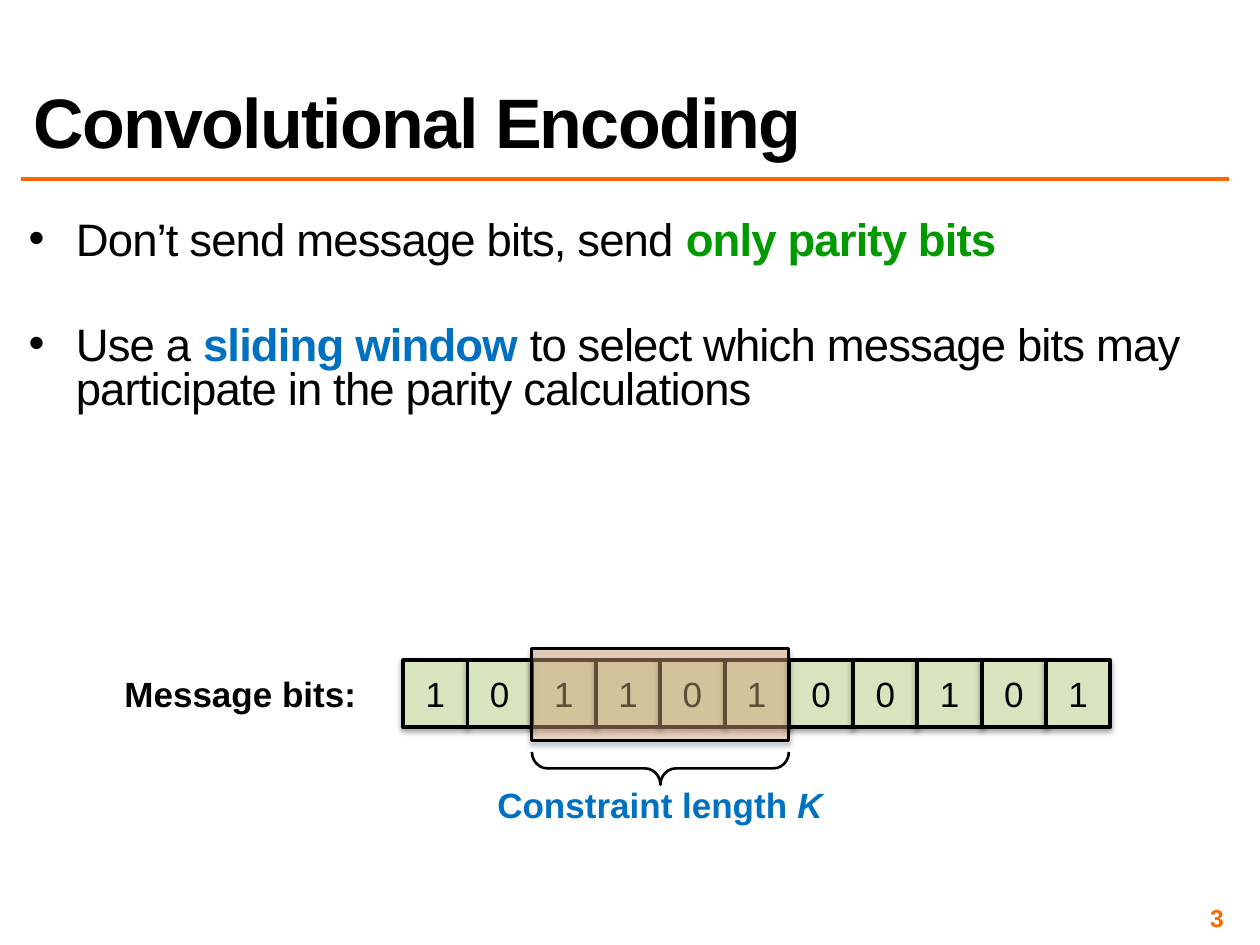
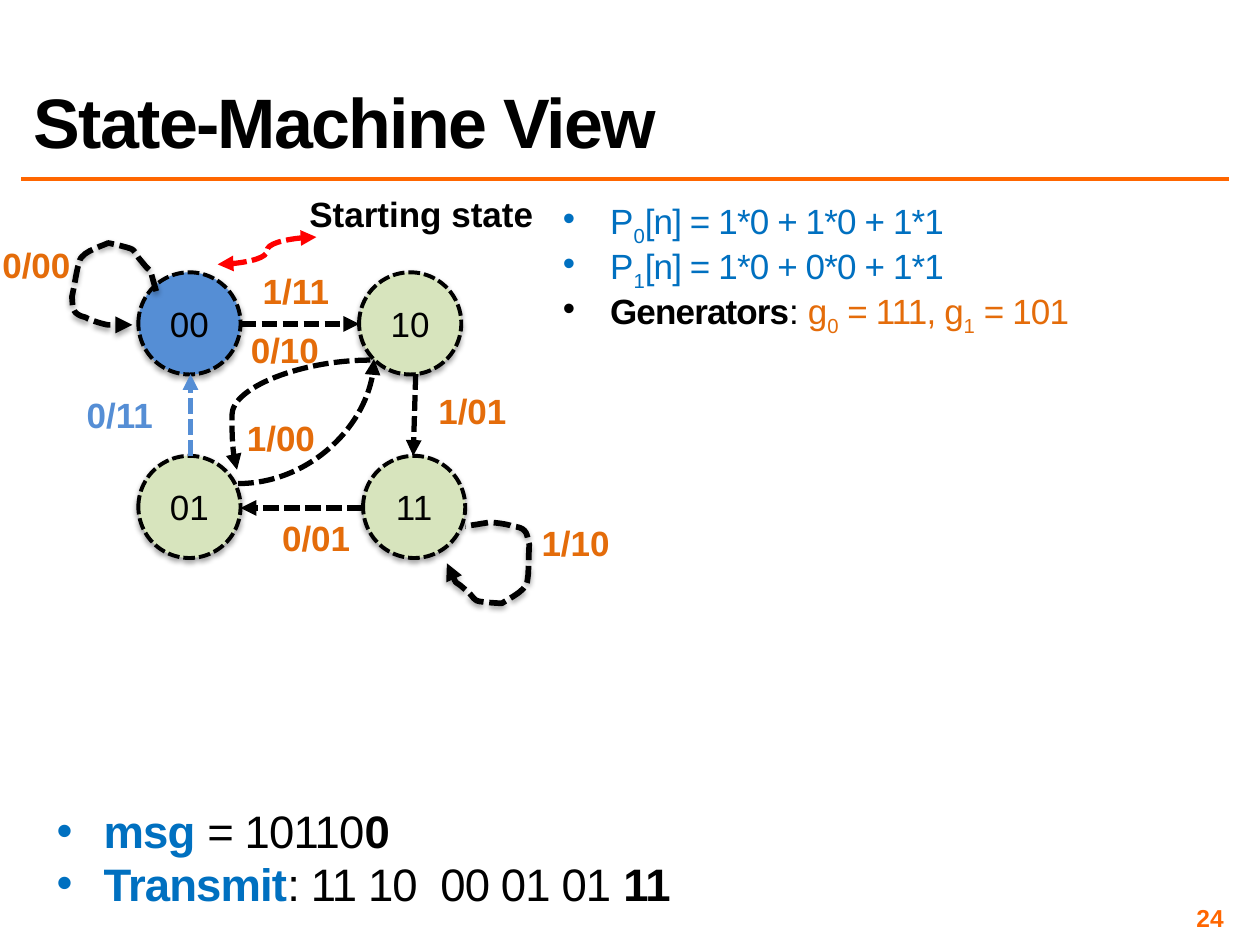
from typing import NamedTuple, Optional

import pptx
import pptx.dml.color
import pptx.enum.dml
import pptx.enum.shapes
import pptx.enum.text
import pptx.oxml
import pptx.oxml.ns
import pptx.util

Cm = pptx.util.Cm
Pt = pptx.util.Pt
RGBColor = pptx.dml.color.RGBColor
SHAPES = pptx.enum.shapes.MSO_SHAPE
CONNECTORS = pptx.enum.shapes.MSO_CONNECTOR
ALIGN = pptx.enum.text.PP_ALIGN
ANCHOR = pptx.enum.text.MSO_ANCHOR
AUTO_SIZE = pptx.enum.text.MSO_AUTO_SIZE
DASHED = pptx.enum.dml.MSO_LINE.SQUARE_DOT
qn = pptx.oxml.ns.qn

BLACK = RGBColor(0x00, 0x00, 0x00)
ORANGE = RGBColor(0xFF, 0x66, 0x00)
DARK_ORANGE = RGBColor(0xE4, 0x6C, 0x0A)
PEACH = RGBColor(0xFA, 0xC0, 0x90)
GREEN = RGBColor(0x00, 0x99, 0x00)
PALE_GREEN = RGBColor(0xD7, 0xE4, 0xBD)
BLUE = RGBColor(0x00, 0x70, 0xC0)
STATE_BLUE = RGBColor(0x55, 0x8E, 0xD5)
RED = RGBColor(0xFF, 0x00, 0x00)

FONT = "Arial"
TITLE_ONLY = 5
INSET = Cm(0.1)


class Box(NamedTuple):
    """Left, top, width and height in centimetres."""
    left: float
    top: float
    width: float
    height: float

    def lengths(self) -> list:
        return [Cm(value) for value in self]


class Span(NamedTuple):
    text: str
    color: RGBColor = BLACK
    bold: bool = False
    italic: bool = False
    subscript: bool = False


class Bullet(NamedTuple):
    spans: list
    space_before: float


class Label(NamedTuple):
    text: str
    left: float
    top: float
    color: RGBColor = DARK_ORANGE


class State(NamedTuple):
    bits: str
    left: float
    top: float
    fill: RGBColor = PALE_GREEN


class Transition(NamedTuple):
    start: tuple
    end: tuple
    color: RGBColor = BLACK
    kind: int = CONNECTORS.STRAIGHT
    head: bool = False
    tail: bool = True
    preset: Optional[str] = None
    adjust: Optional[int] = None


class Loop(NamedTuple):
    dx: float
    dy: float
    rotation: float
    arrow_at_start: bool


def add_xml(parent, tag: str, **attributes):
    child = parent.makeelement(qn(tag), attributes)
    parent.append(child)
    return child


def add_spans(paragraph, spans: list, size: float, spacing: float = 0) -> None:
    for span in spans:
        run = paragraph.add_run()
        run.text = span.text
        font = run.font
        font.name, font.size = FONT, Pt(size)
        font.bold, font.italic = span.bold, span.italic
        font.color.rgb = span.color
        properties = run._r.get_or_add_rPr()
        if spacing:
            properties.set("spc", str(round(spacing * 100)))
        if span.subscript:
            properties.set("baseline", "-25000")


def add_soft_shadow(shape) -> None:
    shape.shadow.inherit = False
    effects = shape._element.spPr.find(qn("a:effectLst"))
    shadow = add_xml(effects, "a:outerShdw", blurRad="40000", dist="23000",
                     dir="5400000", rotWithShape="0")
    add_xml(add_xml(shadow, "a:srgbClr", val=str(BLACK)), "a:alpha", val="35000")


def style_line(line, color: RGBColor, width: float, dashed: bool = False) -> None:
    line.color.rgb = color
    line.width = Pt(width)
    if dashed:
        line.dash_style = DASHED


def add_arrowheads(shape, head: bool, tail: bool) -> None:
    outline = shape._element.spPr.find(qn("a:ln"))
    if head:
        add_xml(outline, "a:headEnd", type="triangle")
    if tail:
        add_xml(outline, "a:tailEnd", type="triangle")


def add_node(slide, preset: int, box: Box, fill: RGBColor, width: float = 2.25,
             dashed: bool = False, text: str = ""):
    """Draw a filled, outlined shape with a shadow and centred text."""
    node = slide.shapes.add_shape(preset, *box.lengths())
    node.fill.solid()
    node.fill.fore_color.rgb = fill
    style_line(node.line, BLACK, width, dashed)
    add_soft_shadow(node)
    if text:
        frame = node.text_frame
        frame.vertical_anchor = ANCHOR.MIDDLE
        frame.paragraphs[0].alignment = ALIGN.CENTER
        add_spans(frame.paragraphs[0], [Span(text)], 20)
    return node


def add_connector(slide, link: Transition, width: float = 3, dashed: bool = True) -> None:
    points = [Cm(value) for value in (*link.start, *link.end)]
    connector = slide.shapes.add_connector(link.kind, *points)
    style_line(connector.line, link.color, width, dashed)
    add_arrowheads(connector, link.head, link.tail)
    properties = connector._element.spPr
    add_xml(properties, "a:effectLst")
    geometry = properties.find(qn("a:prstGeom"))
    if link.preset:
        geometry.set("prst", link.preset)
    if link.adjust is not None:
        guides = geometry.find(qn("a:avLst"))
        if guides is None:
            guides = add_xml(geometry, "a:avLst")
        add_xml(guides, "a:gd", name="adj1", fmla=f"val {link.adjust}")


def add_label(slide, box: Box, spans: list, wrap: bool = True) -> None:
    frame = slide.shapes.add_textbox(*box.lengths()).text_frame
    frame.word_wrap = wrap
    frame.auto_size = AUTO_SIZE.SHAPE_TO_FIT_TEXT
    frame.paragraphs[0].alignment = ALIGN.CENTER
    add_spans(frame.paragraphs[0], spans, 20)


def add_inset_frame(slide, box: Box):
    frame = slide.shapes.add_textbox(*box.lengths()).text_frame
    frame.word_wrap = True
    frame.margin_left = frame.margin_right = INSET
    frame.margin_top = frame.margin_bottom = INSET
    return frame


def add_bullets(slide, box: Box, bullets: list, size: float) -> None:
    frame = add_inset_frame(slide, box)
    for index, bullet in enumerate(bullets):
        paragraph = frame.add_paragraph() if index else frame.paragraphs[0]
        paragraph.line_spacing = 0.8
        paragraph.space_before = Pt(bullet.space_before)
        properties = paragraph._p.get_or_add_pPr()
        properties.set("marL", str(Cm(0.95)))
        properties.set("indent", str(-Cm(0.95)))
        add_xml(properties, "a:buFont", typeface=FONT)
        add_xml(properties, "a:buChar", char="•")
        add_spans(paragraph, bullet.spans, size, spacing=-0.5)


def add_titled_slide(deck, heading: str, number: int):
    slide = deck.slides.add_slide(deck.slide_layouts[TITLE_ONLY])
    title = slide.shapes.title
    title.left, title.top, title.width, title.height = Box(0.43, 0.43, 24.33, 2.97).lengths()
    frame = title.text_frame
    frame.vertical_anchor = ANCHOR.BOTTOM
    frame.auto_size = AUTO_SIZE.NONE
    frame.paragraphs[0].alignment = ALIGN.LEFT
    frame.paragraphs[0].line_spacing = 0.8
    add_spans(frame.paragraphs[0], [Span(heading, bold=True)], 40, spacing=-1)

    add_connector(slide, Transition((0.43, 3.61), (24.77, 3.61), ORANGE, tail=False),
                  width=2, dashed=False)

    footer = add_inset_frame(slide, Box(18.85, 18.21, 5.92, 0.58))
    footer.vertical_anchor = ANCHOR.MIDDLE
    footer.paragraphs[0].alignment = ALIGN.RIGHT
    add_spans(footer.paragraphs[0], [Span(str(number), ORANGE, bold=True)], 14)
    return slide


MESSAGE = "10110100101"
MESSAGE = "10" + "1101" + "00101"
WINDOW_START, WINDOW_LENGTH = 2, 4
ROW_LEFT, ROW_WIDTH = 8.13, 14.25


def build_encoding_slide(deck) -> None:
    slide = add_titled_slide(deck, "Convolutional Encoding", 3)
    add_bullets(slide, Box(0.48, 4.37, 24.28, 7.29), [
        Bullet([Span("Don’t send message bits, send "),
                Span("only parity bits", GREEN, bold=True)], 5.2),
        Bullet([Span("Use a "), Span("sliding window ", BLUE, bold=True),
                Span("to select which message bits may participate "
                     "in the parity calculations")], 35),
    ], 26)

    cell = ROW_WIDTH / len(MESSAGE)
    for index, bit in enumerate(MESSAGE):
        add_node(slide, SHAPES.RECTANGLE,
                 Box(ROW_LEFT + index * cell, 13.31, cell, 1.35), PALE_GREEN, text=bit)

    window_left, window_width = ROW_LEFT + WINDOW_START * cell, WINDOW_LENGTH * cell
    window = add_node(slide, SHAPES.RECTANGLE,
                      Box(window_left, 13.08, window_width, 1.85), PEACH, width=1.5)
    window_color = window._element.spPr.find(qn("a:solidFill"))[0]
    add_xml(window_color, "a:alpha", val="39000")

    brace_depth, brace_middle = 0.66, 15.49
    brace = slide.shapes.add_shape(SHAPES.RIGHT_BRACE, *Box(
        window_left + (window_width - brace_depth) / 2, brace_middle - window_width / 2,
        brace_depth, window_width).lengths())
    brace.rotation = 90
    brace.adjustments[0], brace.adjustments[1] = 0.476, 0.5
    brace.fill.background()
    style_line(brace.line, BLACK, 1.5)
    brace.shadow.inherit = False

    add_label(slide, Box(9.75, 15.67, 7.11, 1.12),
              [Span("Constraint length ", BLUE, bold=True),
               Span("K", BLUE, bold=True, italic=True)], wrap=False)
    add_label(slide, Box(2.24, 13.44, 5.21, 1.12),
              [Span("Message bits:", bold=True)], wrap=False)


STATES = [State("00", 2.79, 5.49, STATE_BLUE), State("10", 7.24, 5.49),
          State("01", 2.79, 9.19), State("11", 7.32, 9.19)]
TRANSITIONS = [
    Transition((4.85, 6.53), (7.24, 6.53)),
    Transition((8.38, 7.54), (8.33, 9.19)),
    Transition((7.32, 10.24), (4.85, 10.24)),
    Transition((3.84, 9.19), (3.84, 7.54), STATE_BLUE),
    Transition((4.8, 9.75), (7.54, 7.24), kind=CONNECTORS.CURVE, preset="curvedConnector2"),
    Transition((7.47, 7.26), (4.78, 9.47), kind=CONNECTORS.CURVE, adjust=103800),
    Transition((6.38, 4.78), (4.39, 5.33), RED, CONNECTORS.CURVE, head=True),
]
LABELS = [Label("0/00", -0.84, 4.78), Label("1/11", 4.39, 5.31), Label("1/01", 7.95, 7.72),
          Label("0/01", 4.8, 10.29), Label("0/11", 0.84, 7.8, STATE_BLUE),
          Label("1/00", 4.09, 8.28), Label("0/10", 4.17, 6.5), Label("1/10", 10.03, 10.39)]
LOOPS = [Loop(0, 0, 0, False), Loop(7.57, 5.64, 171, True)]
# Cubic curve: a start point, then two control points and an end point per piece
LOOP_CURVE = [
    (3.15, 5.87), (2.95, 5.21), (3.15, 5.66), (2.82, 5.23), (2.77, 5.18), (2.74, 5.08),
    (2.67, 5.03), (2.64, 5.0), (2.21, 4.9), (2.18, 4.9), (2.08, 4.95), (1.75, 5.05),
    (1.65, 5.18), (1.6, 5.23), (1.6, 5.31), (1.57, 5.38), (1.52, 5.61), (1.5, 5.77),
    (1.45, 5.99), (1.47, 6.1), (1.45, 6.2), (1.5, 6.27), (1.55, 6.35), (1.65, 6.38),
    (1.73, 6.4), (1.78, 6.45), (2.13, 6.55), (2.18, 6.55), (2.36, 6.55), (2.51, 6.55),
    (2.67, 6.55),
]


def sample_curve(points: list, steps: int = 6) -> list:
    """Return points along a chain of cubic Bézier pieces."""
    samples = [points[0]]
    for first in range(0, len(points) - 1, 3):
        piece = points[first:first + 4]
        for step in range(1, steps + 1):
            t = step / steps
            weights = ((1 - t) ** 3, 3 * t * (1 - t) ** 2, 3 * t * t * (1 - t), t ** 3)
            samples.append(tuple(sum(w * point[axis] for w, point in zip(weights, piece))
                                 for axis in (0, 1)))
    return samples


def add_loop(slide, loop: Loop) -> None:
    outline = [(Cm(x + loop.dx), Cm(y + loop.dy)) for x, y in sample_curve(LOOP_CURVE)]
    builder = slide.shapes.build_freeform(*outline[0])
    builder.add_line_segments(outline[1:], close=False)
    arc = builder.convert_to_shape()
    arc.rotation = loop.rotation
    arc.fill.background()
    style_line(arc.line, BLACK, 3.25, dashed=True)
    add_arrowheads(arc, loop.arrow_at_start, not loop.arrow_at_start)
    add_soft_shadow(arc)


def build_state_machine_slide(deck) -> None:
    slide = add_titled_slide(deck, "State-Machine View", 24)
    for state in STATES:
        add_node(slide, SHAPES.OVAL, Box(state.left, state.top, 2.06, 2.06), state.fill,
                 dashed=True, text=state.bits)
    for loop in LOOPS:
        add_loop(slide, loop)
    for transition in TRANSITIONS:
        add_connector(slide, transition)
    for label in LABELS:
        add_label(slide, Box(label.left, label.top, 3.15, 1.12),
                  [Span(label.text, label.color, bold=True)])
    add_label(slide, Box(5.97, 3.76, 5.05, 1.12), [Span("Starting state", bold=True)], wrap=False)

    parities = [Bullet([Span("P", BLUE), Span(index, BLUE, subscript=True),
                        Span(f"[n] = {terms}", BLUE)], 4)
                for index, terms in (("0", "1*0 + 1*0 + 1*1"), ("1", "1*0 + 0*0 + 1*1"))]
    generators = Bullet([
        Span("Generators", bold=True), Span(": "),
        Span("g", DARK_ORANGE), Span("0", DARK_ORANGE, subscript=True),
        Span(" = 111, g", DARK_ORANGE), Span("1", DARK_ORANGE, subscript=True),
        Span(" = 101", DARK_ORANGE)], 4)
    add_bullets(slide, Box(11.25, 4.01, 13.72, 15.04), parities + [generators], 20)
    add_bullets(slide, Box(1.04, 16.31, 23.09, 2.49), [
        Bullet([Span("msg ", BLUE, bold=True), Span("= 10110"), Span("0", bold=True)], 5.2),
        Bullet([Span("Transmit", BLUE, bold=True), Span(": 11 10  00 01 01"),
                Span(" 11", bold=True)], 5.2),
    ], 26)


def main() -> None:
    deck = pptx.Presentation()
    deck.slide_width, deck.slide_height = Cm(25.4), Cm(19.05)
    build_encoding_slide(deck)
    build_state_machine_slide(deck)
    deck.save("out.pptx")


if __name__ == "__main__":
    main()
